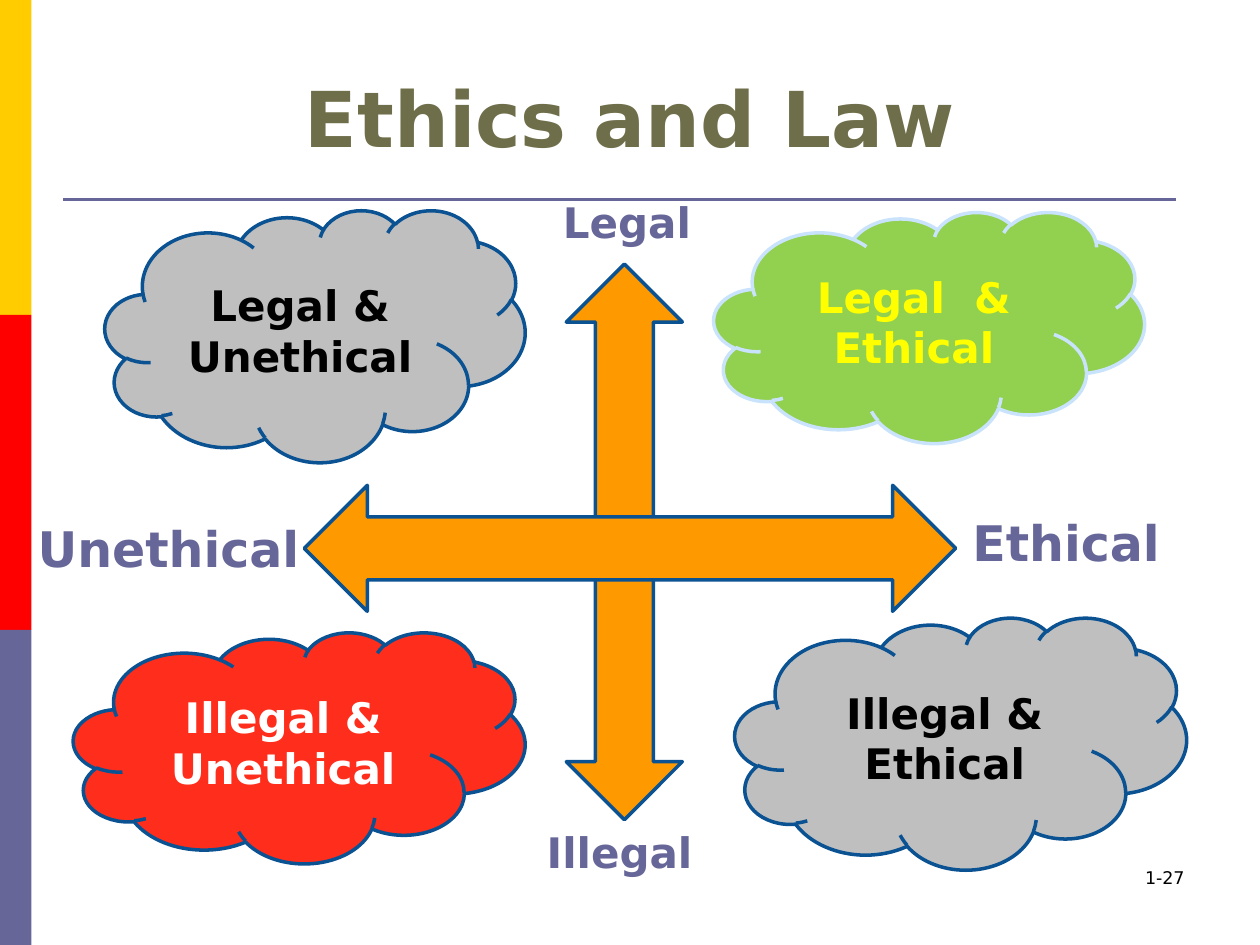
import pptx
import pptx.dml.color
import pptx.enum.shapes
import pptx.enum.text
import pptx.oxml.xmlchemy
import pptx.util
from dataclasses import dataclass

Pt = pptx.util.Pt
RGB = pptx.dml.color.RGBColor.from_string
Preset = pptx.enum.shapes.MSO_SHAPE
Align = pptx.enum.text.PP_ALIGN
Anchor = pptx.enum.text.MSO_ANCHOR
AutoSize = pptx.enum.text.MSO_AUTO_SIZE


@dataclass(frozen=True)
class Theme:
    font: str = "DejaVu Sans"
    yellow: str = "FFCC00"
    red: str = "FF0000"
    violet: str = "666699"
    olive: str = "6F6E4A"
    orange: str = "FF9900"
    outline: str = "0B5292"
    pale_outline: str = "C8E3FB"
    green: str = "92D050"
    bright_red: str = "FF2D1B"
    grey: str = "BFBFBF"
    bright_yellow: str = "FFFF00"
    white: str = "FFFFFF"
    black: str = "000000"
    title_size: int = 44
    axis_size: int = 28
    label_size: int = 24
    number_size: int = 10


theme = Theme()


def write_text(shape, text, *, size, color, bold=True, align=Align.LEFT,
               anchor=Anchor.TOP, auto_size=AutoSize.NONE):
    frame = shape.text_frame
    frame.word_wrap = True
    frame.auto_size = auto_size
    frame.vertical_anchor = anchor
    paragraph = frame.paragraphs[0]
    paragraph.text = text
    paragraph.alignment = align
    font = paragraph.runs[0].font
    font.name = theme.font
    font.size = Pt(size)
    font.bold = bold
    font.color.rgb = RGB(color)


def add_filled(preset, box, fill, line=None):
    shape = slide.shapes.add_shape(preset, *map(Pt, box))
    shape.shadow.inherit = False
    shape.fill.solid()
    shape.fill.fore_color.rgb = RGB(fill)
    if line:
        shape.line.color.rgb = RGB(line)
        shape.line.width = Pt(2)
    else:
        shape.line.fill.background()
    return shape


deck = pptx.Presentation()
deck.slide_width, deck.slide_height = Pt(720), Pt(540)
slide = deck.slides.add_slide(deck.slide_layouts[5])

# Side band and rule
for row, color in enumerate((theme.yellow, theme.red, theme.violet)):
    add_filled(Preset.RECTANGLE, (0, 180 * row, 18, 180), color)

rule = slide.shapes.add_connector(
    pptx.enum.shapes.MSO_CONNECTOR.STRAIGHT, Pt(36), Pt(114), Pt(672), Pt(114))
rule.line.color.rgb = RGB(theme.violet)
rule.line.width = Pt(1.5)
rule._element.spPr.append(pptx.oxml.xmlchemy.OxmlElement("a:effectLst"))

# Title
title = slide.shapes.title
title.left, title.top, title.width, title.height = map(Pt, (36, 21.6, 648, 90))
write_text(title, "Ethics and Law", size=theme.title_size, color=theme.olive,
           align=Align.CENTER, anchor=Anchor.MIDDLE)

# Axes: the legal axis stands upright, the ethical axis lies across it
for preset, box, angle in (
    (Preset.LEFT_RIGHT_ARROW, (198, 276.5, 317.5, 66.3), 90),
    (Preset.UP_DOWN_ARROW, (324, 127.2, 72, 372.2), 270),
):
    axis = add_filled(preset, box, theme.orange, theme.outline)
    axis.rotation = angle

# Quadrants
for text, box, fill, line, color in (
    ("Legal  & Ethical", (408, 121, 246, 132), theme.green, theme.pale_outline, theme.bright_yellow),
    ("Illegal & Unethical", (42, 361.2, 258, 132), theme.bright_red, theme.outline, theme.white),
    ("Legal & Unethical", (60, 120, 240, 144), theme.grey, theme.outline, theme.black),
    ("Illegal & Ethical", (420, 352.8, 258, 144), theme.grey, theme.outline, theme.black),
):
    cloud = add_filled(Preset.CLOUD, box, fill, line)
    write_text(cloud, text, size=theme.label_size, color=color,
               align=Align.CENTER, anchor=Anchor.MIDDLE)

# Axis ends
for text, box, size in (
    ("Ethical", (548.6, 289.4, 156.2, 41.2), theme.axis_size),
    ("Unethical", (14.4, 293, 170, 41.2), theme.axis_size),
    ("Legal", (314.6, 108.7, 98, 36.4), theme.label_size),
    ("Illegal", (305.3, 468.7, 111.6, 36.4), theme.label_size),
):
    axis_end = slide.shapes.add_textbox(*map(Pt, box))
    write_text(axis_end, text, size=size, color=theme.violet,
               auto_size=AutoSize.SHAPE_TO_FIT_TEXT)

page_number = slide.shapes.add_textbox(Pt(516), Pt(492), Pt(168), Pt(36))
write_text(page_number, "1-27", size=theme.number_size, color=theme.black,
           bold=False, align=Align.RIGHT)

deck.save("out.pptx")
